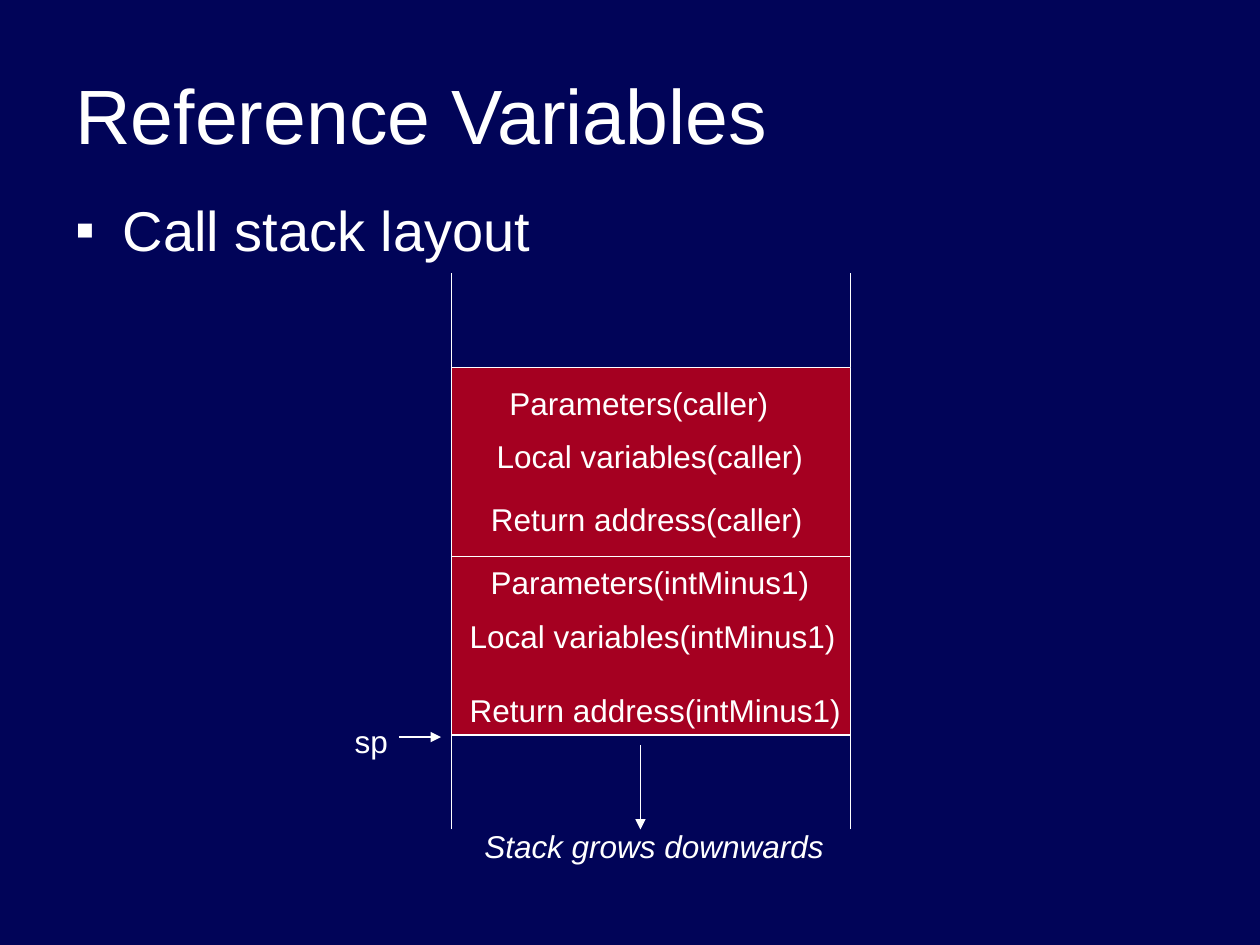
from pptx import Presentation
from pptx import util as u
from pptx.dml.color import RGBColor
from pptx.enum import shapes, text
from pptx.oxml.ns import qn
from lxml import etree

NAVY = RGBColor(0x01, 0x04, 0x58)
RED = RGBColor(0xA5, 0x00, 0x21)
WHITE = RGBColor(0xFF, 0xFF, 0xFF)

CELL = u.Inches(1) / 12
LEFT, RIGHT = 43, 81
TOP, SPLIT, BASE = 35, 53, 70
WALL = 9

LABELS = [
    ("Parameters(caller)", 60.85, 36, 27.6),
    ("Local variables(caller)", 61.9, 41, 32.2),
    ("Return address(caller)", 61.6, 47, 32.6),
    ("Parameters(intMinus1)", 61.9, 53, 33.4),
    ("Local variables(intMinus1)", 62.15, 58.2, 37.8),
    ("Return address(intMinus1)", 62.4, 65.2, 38.3),
]


def grid(*cells):
    return [u.Emu(round(n * CELL)) for n in cells]


def apply(item, form):
    for name, value in form.items():
        setattr(item, name, value)


def write(pool, words, box, frame, para, font):
    body = pool.add_textbox(*grid(*box)).text_frame
    apply(body, frame)
    line = body.paragraphs[0]
    apply(line, para)
    run = line.add_run()
    run.text = words
    apply(run.font, {"name": "Arial", **font})
    run.font.color.rgb = WHITE
    return line


def label(pool, words, mid, top, width, **font):
    frame = {"word_wrap": False, "auto_size": text.MSO_AUTO_SIZE.SHAPE_TO_FIT_TEXT}
    para = {"alignment": text.PP_ALIGN.CENTER}
    write(pool, words, (mid - width / 2, top, width, 4.8), frame, para,
          {"size": u.Pt(18), **font})


def head(pool, words):
    frame = {"word_wrap": True, "vertical_anchor": text.MSO_ANCHOR.MIDDLE}
    write(pool, words, (6, 4.8, 108, 12), frame, {}, {"size": u.Pt(44)})


def point(pool, words):
    line = write(pool, words, (6, 18, 108, 10), {"word_wrap": True},
                 {"space_before": u.Pt(8)}, {"size": u.Pt(32)})
    props = line._p.get_or_add_pPr()
    dent = u.Pt(27)
    props.set("marL", str(dent))
    props.set("indent", str(-dent))
    tint = etree.SubElement(props, qn("a:buClr"))
    etree.SubElement(tint, qn("a:srgbClr"), val=str(WHITE))
    etree.SubElement(props, qn("a:buFont"), typeface="Arial")
    etree.SubElement(props, qn("a:buChar"), char="▪")


def block(pool, *box):
    rect = pool.add_shape(shapes.MSO_SHAPE.RECTANGLE, *grid(*box))
    rect.shadow.inherit = False
    rect.fill.solid()
    rect.fill.fore_color.rgb = RED
    rect.line.color.rgb = WHITE
    rect.line.width = u.Pt(0.75)


def rule(pool, *ends, tip=False):
    line = pool.add_connector(shapes.MSO_CONNECTOR.STRAIGHT, *grid(*ends))
    line.line.color.rgb = WHITE
    line.line.width = u.Pt(0.75)
    props = line._element.spPr
    if tip:
        etree.SubElement(props.find(qn("a:ln")), qn("a:tailEnd"), type="triangle")
    etree.SubElement(props, qn("a:effectLst"))


def main():
    deck = Presentation()
    apply(deck, {"slide_width": u.Inches(10), "slide_height": u.Inches(7.5)})
    slide = deck.slides.add_slide(deck.slide_layouts[6])
    slide.background.fill.solid()
    slide.background.fill.fore_color.rgb = NAVY
    pool = slide.shapes

    head(pool, "Reference Variables")
    point(pool, "Call stack layout")

    block(pool, LEFT, TOP, RIGHT - LEFT, BASE - TOP)
    rule(pool, LEFT, SPLIT, RIGHT, SPLIT)
    for row in LABELS:
        label(pool, *row)

    mark = pool.add_group_shape().shapes
    label(mark, "sp", 35.35, 68.2, 6.1)
    rule(mark, 38, 70.2, 42, 70.2, tip=True)

    for col in (LEFT, RIGHT):
        rule(pool, col, TOP, col, TOP - WALL)
        rule(pool, col, BASE + WALL, col, BASE)

    rule(pool, 61, BASE + 1, 61, BASE + WALL, tip=True)
    label(pool, "Stack grows downwards", 62.3, 78.2, 35.3, italic=True)
    deck.save("out.pptx")


if __name__ == "__main__":
    main()
